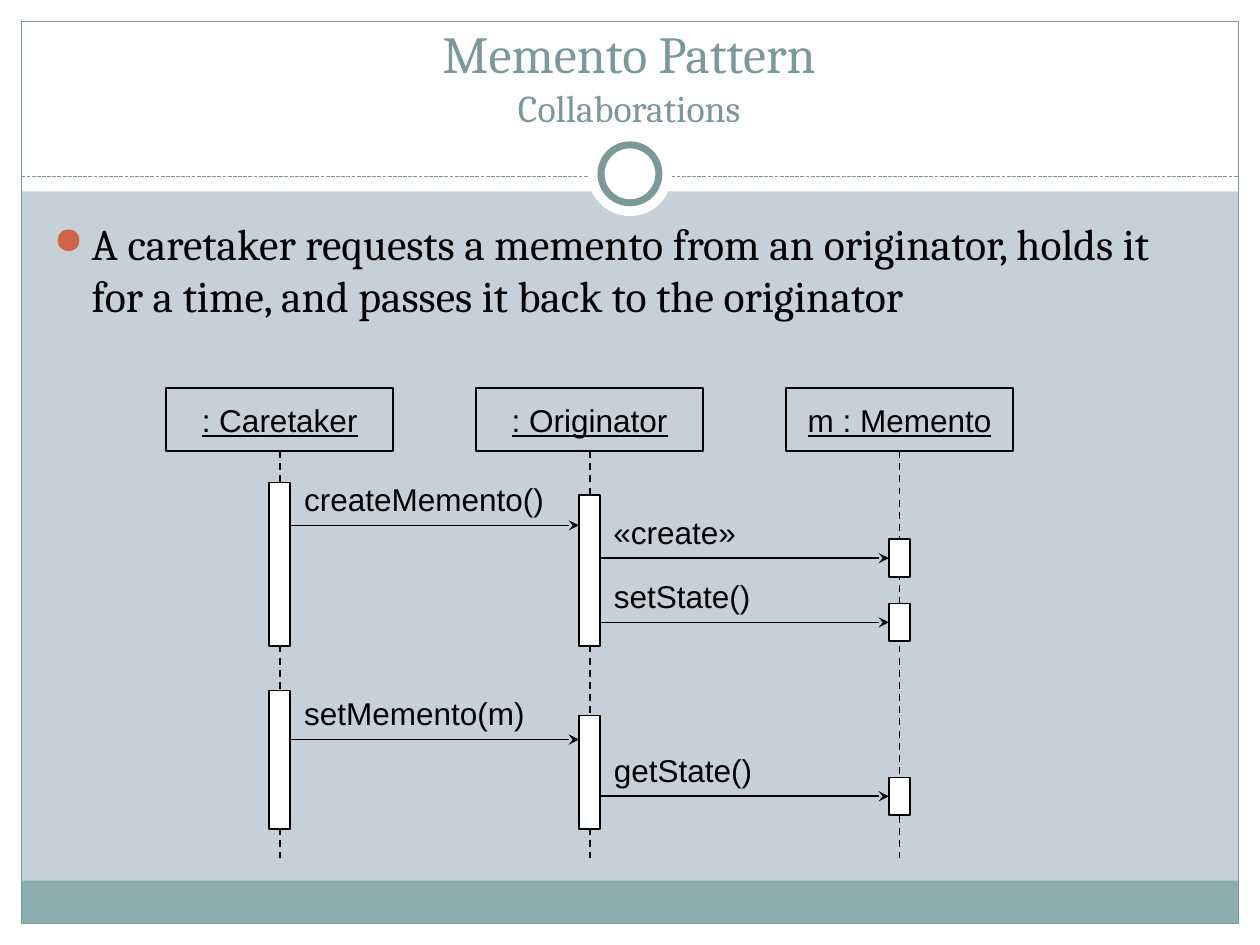
import dataclasses

import pptx
import pptx.dml.color
import pptx.enum.dml
import pptx.enum.shapes
import pptx.enum.text
import pptx.oxml
import pptx.oxml.ns
import pptx.util

SHAPE = pptx.enum.shapes.MSO_SHAPE
DASH = pptx.enum.dml.MSO_LINE
ALIGN = pptx.enum.text.PP_ALIGN
ANCHOR = pptx.enum.text.MSO_ANCHOR
FIT = pptx.enum.text.MSO_AUTO_SIZE

WIDTH, HEIGHT, MARGIN = 10, 7.5, 0.17
BLACK, WHITE, SAGE = "000000", "FFFFFF", "7C999A"

# Sequence diagram: columns are participants, rows are 0.1 inch
COLUMN, ROW, HEAD, BAR = 2.46, 0.1, 1.8, 0.17
PARTICIPANTS = [": Caretaker", ": Originator", "m : Memento"]
# column, first row, number of rows
ACTIVATIONS = [(0, 7.5, 13), (0, 24, 11), (1, 8.5, 12), (1, 26, 9),
               (2, 12, 3), (2, 17.1, 3), (2, 30.9, 3)]
# sending column, row, wording, label width
MESSAGES = [(0, 10.9, "createMemento()", 2.12), (1, 13.5, "«create»", 1.18),
            (1, 18.6, "setState()", 1.3), (0, 27.9, "setMemento(m)", 1.97),
            (1, 32.4, "getState()", 1.31)]


@dataclasses.dataclass
class Box:
    left: float
    top: float
    width: float
    height: float

    def inches(self):
        return [pptx.util.Inches(n) for n in dataclasses.astuple(self)]


def colour(value):
    return pptx.dml.color.RGBColor.from_string(value)


def xml(tag, attributes=""):
    return pptx.oxml.parse_xml(f"<a:{tag} {pptx.oxml.ns.nsdecls('a')} {attributes}/>")


def add_shape(page, box, fill=None, line=None, weight=1, kind=SHAPE.RECTANGLE):
    shape = page.shapes.add_shape(kind, *box.inches())
    shape.shadow.inherit = False
    if fill:
        shape.fill.solid()
        shape.fill.fore_color.rgb = colour(fill)
    else:
        shape.fill.background()
    if line:
        shape.line.color.rgb = colour(line)
        shape.line.width = pptx.util.Pt(weight)
    else:
        shape.line.fill.background()
    return shape


def add_line(page, start, end, line=BLACK, weight=1, dash=None, arrow=False):
    connector = page.shapes.add_connector(
        pptx.enum.shapes.MSO_CONNECTOR.STRAIGHT,
        *[pptx.util.Inches(n) for n in (*start, *end)])
    connector.line.color.rgb = colour(line)
    connector.line.width = pptx.util.Pt(weight)
    if dash:
        connector.line.dash_style = dash
    if arrow:
        connector.line._get_or_add_ln().append(xml("tailEnd", 'type="stealth"'))
    connector.element.spPr.append(xml("effectLst"))


def add_span(para, text, size, font, ink=BLACK, underline=None):
    span = para.add_run()
    span.text = text
    span.font.size = pptx.util.Pt(size)
    span.font.name = font
    span.font.color.rgb = colour(ink)
    span.font.underline = underline


def add_label(shape, text, underline=None):
    frame = shape.text_frame
    frame.word_wrap = False
    frame.vertical_anchor = ANCHOR.MIDDLE
    para = frame.paragraphs[0]
    para.alignment = ALIGN.CENTER
    add_span(para, text, 18, "Arial", underline=underline)


def draw_frame(page, box):
    right, bottom = box.width - MARGIN, box.height - MARGIN
    inner = box.width - 2 * MARGIN
    # White edges around the page and the heading band
    for edge in (Box(0, bottom, box.width, MARGIN), Box(0, 0, box.width, 1.52),
                 Box(0, 0, MARGIN, box.height), Box(right, 0, MARGIN, box.height)):
        add_shape(page, edge, WHITE)
    # Footer band, outline and divider
    add_shape(page, Box(MARGIN, bottom - 0.34, inner, 0.34), "8CADAE")
    add_shape(page, Box(MARGIN, MARGIN, inner, bottom - MARGIN), None, SAGE, 0.75)
    add_line(page, (MARGIN, 1.4), (right, 1.4), SAGE, 0.75, DASH.SQUARE_DOT)
    # Ring centred on the divider
    for size, line in ((0.67, None), (0.46, SAGE)):
        ring = Box((box.width - size) / 2, 1.38 - size / 2, size, size)
        add_shape(page, ring, WHITE, line, 4, SHAPE.OVAL)


def place_title(page, box):
    title = page.shapes.title
    title.left, title.top, title.width, title.height = box.inches()
    title.element.getparent().append(title.element)  # in front of the heading band
    frame = title.text_frame
    frame.word_wrap = True
    frame.auto_size = FIT.NONE
    frame.vertical_anchor = ANCHOR.BOTTOM
    para = frame.paragraphs[0]
    para.alignment = ALIGN.CENTER
    add_span(para, "Memento Pattern", 29.7, "Cambria", SAGE)
    para.add_line_break()
    add_span(para, "Collaborations", 21.6, "Cambria", SAGE)


def place_body(page, box):
    frame = page.shapes.add_textbox(*box.inches()).text_frame
    frame.word_wrap = True
    para = frame.paragraphs[0]
    para.space_before = pptx.util.Pt(5)
    add_span(para, "A caretaker requests a memento from an originator, holds it "
             "for a time, and passes it back to the originator", 25, "Cambria")
    # Hanging round bullet
    properties = para._p.get_or_add_pPr()
    indent = pptx.util.Inches(0.3)
    properties.set("marL", str(indent))
    properties.set("indent", str(-indent))
    bullet_colour = xml("buClr")
    bullet_colour.append(xml("srgbClr", 'val="D16349"'))
    properties.extend([bullet_colour, xml("buSzPct", 'val="85000"'),
                       xml("buChar", 'char="●"')])


def draw_sequence(page, box):
    def centre(column):
        return box.left + HEAD / 2 + column * COLUMN

    def level(row):
        return box.top + row * ROW

    # Participants and lifelines
    for column, name in enumerate(PARTICIPANTS):
        head = Box(centre(column) - HEAD / 2, box.top, HEAD, 5 * ROW)
        add_label(add_shape(page, head, None, BLACK), name, underline=True)
        add_line(page, (centre(column), level(5)),
                 (centre(column), box.top + box.height), dash=DASH.DASH)
    # Messages run from one bar to the edge of the next
    for column, row, text, width in MESSAGES:
        add_line(page, (centre(column), level(row)),
                 (centre(column + 1) - BAR / 2, level(row)), arrow=True)
        place = Box(centre(column) + BAR / 2, level(row - 4.1), width, 4 * ROW)
        label = page.shapes.add_textbox(*place.inches())
        label.text_frame.auto_size = FIT.SHAPE_TO_FIT_TEXT
        add_label(label, text)
    # Activation bars
    for column, row, rows in ACTIVATIONS:
        bar = Box(centre(column) - BAR / 2, level(row), BAR, rows * ROW)
        add_shape(page, bar, WHITE, BLACK)


def main():
    deck = pptx.Presentation()
    deck.slide_width = pptx.util.Inches(WIDTH)
    deck.slide_height = pptx.util.Inches(HEIGHT)
    page = deck.slides.add_slide(deck.slide_layouts.get_by_name("Title Only"))
    page.background.fill.solid()
    page.background.fill.fore_color.rgb = colour("C5D1D7")
    draw_frame(page, Box(0, 0, WIDTH, HEIGHT))
    place_title(page, Box(0.33, 0.25, 9.33, 0.83))
    place_body(page, Box(0.33, 1.67, 9.3, 1.16))
    draw_sequence(page, Box(1.32, 3.08, HEAD + 2 * COLUMN, 3.73))
    deck.save("out.pptx")


if __name__ == "__main__":
    main()
